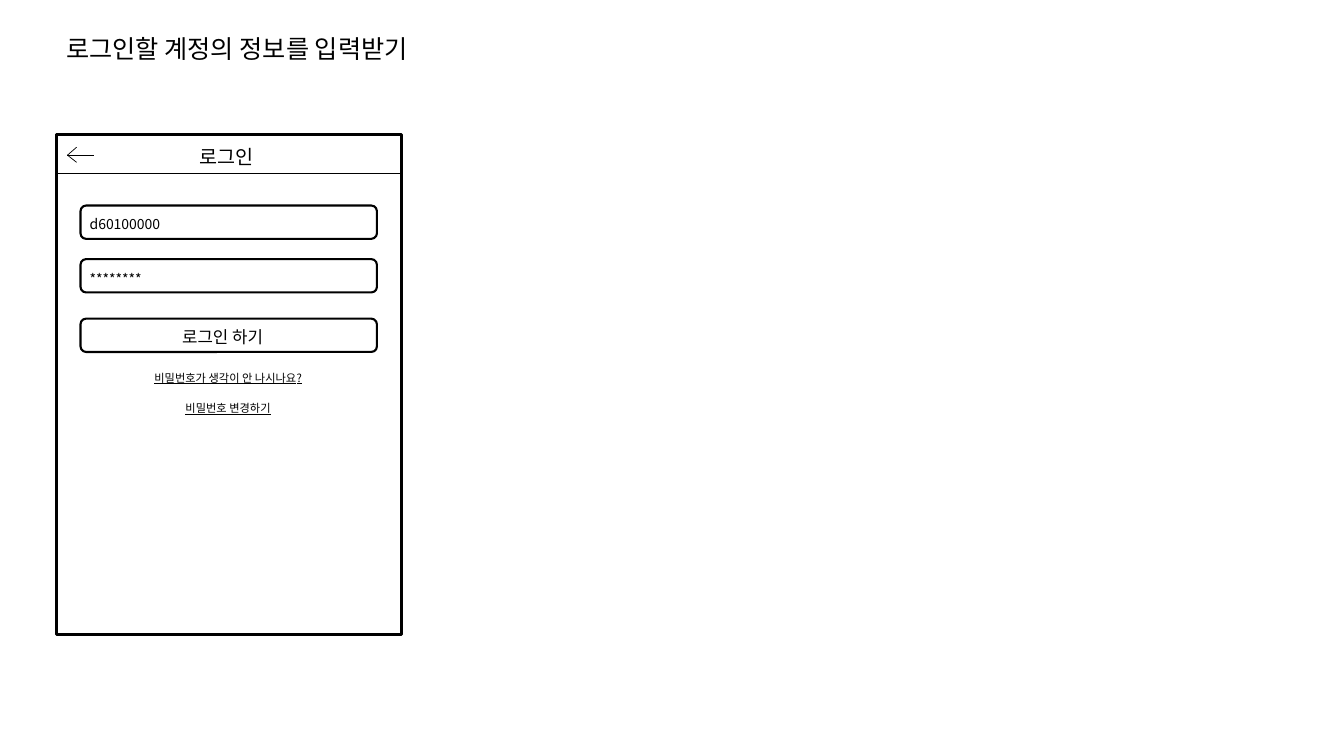
from collections import namedtuple
from dataclasses import dataclass

from lxml import etree
from pptx import Presentation
from pptx.dml.color import RGBColor
from pptx.enum.shapes import MSO_CONNECTOR, MSO_SHAPE
from pptx.enum.text import MSO_AUTO_SIZE, PP_ALIGN
from pptx.oxml.ns import qn
from pptx.util import Cm, Pt

RECTANGLE = MSO_SHAPE.RECTANGLE
ROUNDED = MSO_SHAPE.ROUNDED_RECTANGLE
STRAIGHT = MSO_CONNECTOR.STRAIGHT
FIT_SHAPE = MSO_AUTO_SIZE.SHAPE_TO_FIT_TEXT
LEFT, CENTER = PP_ALIGN.LEFT, PP_ALIGN.CENTER

Box = namedtuple("Box", "left top width height")  # centimetres


@dataclass(frozen=True)
class Theme:
    font: str = "Noto Sans CJK KR"
    ink: RGBColor = RGBColor(0, 0, 0)
    paper: RGBColor = RGBColor(255, 255, 255)
    title: float = 18
    header: float = 14
    button: float = 12
    field: float = 10
    link: float = 8
    frame_line: float = 2.25
    field_line: float = 1.5
    thin_line: float = 0.5


THEME = Theme()


def add_text(slide, box, runs, align=LEFT, underline=None):
    """Place one paragraph made of (text, size) runs."""
    text_box = slide.shapes.add_textbox(*map(Cm, box))
    frame = text_box.text_frame
    frame.word_wrap = True
    frame.auto_size = FIT_SHAPE
    paragraph = frame.paragraphs[0]
    paragraph.alignment = align
    for text, size in runs:
        run = paragraph.add_run()
        run.text = text
        run.font.size = Pt(size)
        run.font.underline = underline
        run.font.color.rgb = THEME.ink
        run.font.name = THEME.font
        east_asian = etree.SubElement(run.font._element, qn("a:ea"))
        east_asian.set("typeface", THEME.font)


def add_outline(slide, kind, box, line_width):
    shape = slide.shapes.add_shape(kind, *map(Cm, box))
    shape.shadow.inherit = False
    shape.fill.solid()
    shape.fill.fore_color.rgb = THEME.paper
    shape.line.color.rgb = THEME.ink
    shape.line.width = Pt(line_width)


def add_line(slide, start, end):
    line = slide.shapes.add_connector(STRAIGHT, *map(Cm, (*start, *end)))
    line.line.color.rgb = THEME.ink
    line.line.width = Pt(THEME.thin_line)
    etree.SubElement(line._element.spPr, qn("a:effectLst"))


def add_header(slide, box):
    """Screen name, divider and back arrow."""
    name_box = Box(box.left + 3.36, box.top, 1.98, box.height)
    add_text(slide, name_box, [("로그인", THEME.header), (" ", THEME.title)])
    bottom = box.top + 0.99
    add_line(slide, (box.left - 0.02, bottom), (box.left + box.width - 0.02, bottom))
    tip_x, tip_y = box.left + 0.28, box.top + 0.53
    for run_x, run_y in ((0.23, -0.2), (0.23, 0.18), (0.66, 0)):
        add_line(slide, (tip_x, tip_y), (tip_x + run_x, tip_y + run_y))


def add_form(slide, box):
    """Two input fields and the login button."""
    rows = (  # top, text, size, text offset and size
        (0, "d60100000", THEME.field, Box(-0.02, 0.13, 2.51, 0.69)),
        (1.35, "********", THEME.field, Box(-0.02, 0.15, 1.98, 0.69)),
        (2.85, "로그인 하기", THEME.button, Box(2.31, 0.08, 2.79, 0.76)),
    )
    for offset, text, size, inner in rows:
        top = box.top + offset
        add_outline(slide, ROUNDED, Box(box.left, top, box.width, 0.84), THEME.field_line)
        text_box = Box(box.left + inner.left, top + inner.top, inner.width, inner.height)
        add_text(slide, text_box, [(text, size)])


def add_links(slide, box):
    """Underlined password links, evenly stacked."""
    links = ("비밀번호가 생각이 안 나시나요?", "비밀번호 변경하기")
    pitch = box.height / len(links)
    for index, text in enumerate(links):
        link_box = Box(box.left, box.top + index * pitch, box.width, 0.61)
        add_text(slide, link_box, [(text, THEME.link)], CENTER, True)


def add_login_screen(slide, box):
    add_outline(slide, RECTANGLE, box, THEME.frame_line)
    add_header(slide, Box(box.left, box.top, box.width, 1.02))
    add_form(slide, Box(box.left + 0.61, box.top + 1.8, 7.47, 3.69))
    add_links(slide, Box(box.left + 0.94, box.top + 5.84, 6.78, 1.52))


def main():
    presentation = Presentation()
    presentation.slide_width, presentation.slide_height = Cm(33.87), Cm(19.05)
    slide = presentation.slides.add_slide(presentation.slide_layouts[6])
    title = [("로그인할 계정의 정보를 입력받기", THEME.title)]
    add_text(slide, Box(1.42, 0.71, 10.72, 1.02), title)
    add_login_screen(slide, Box(1.42, 3.38, 8.69, 12.62))
    presentation.save("out.pptx")


if __name__ == "__main__":
    main()
